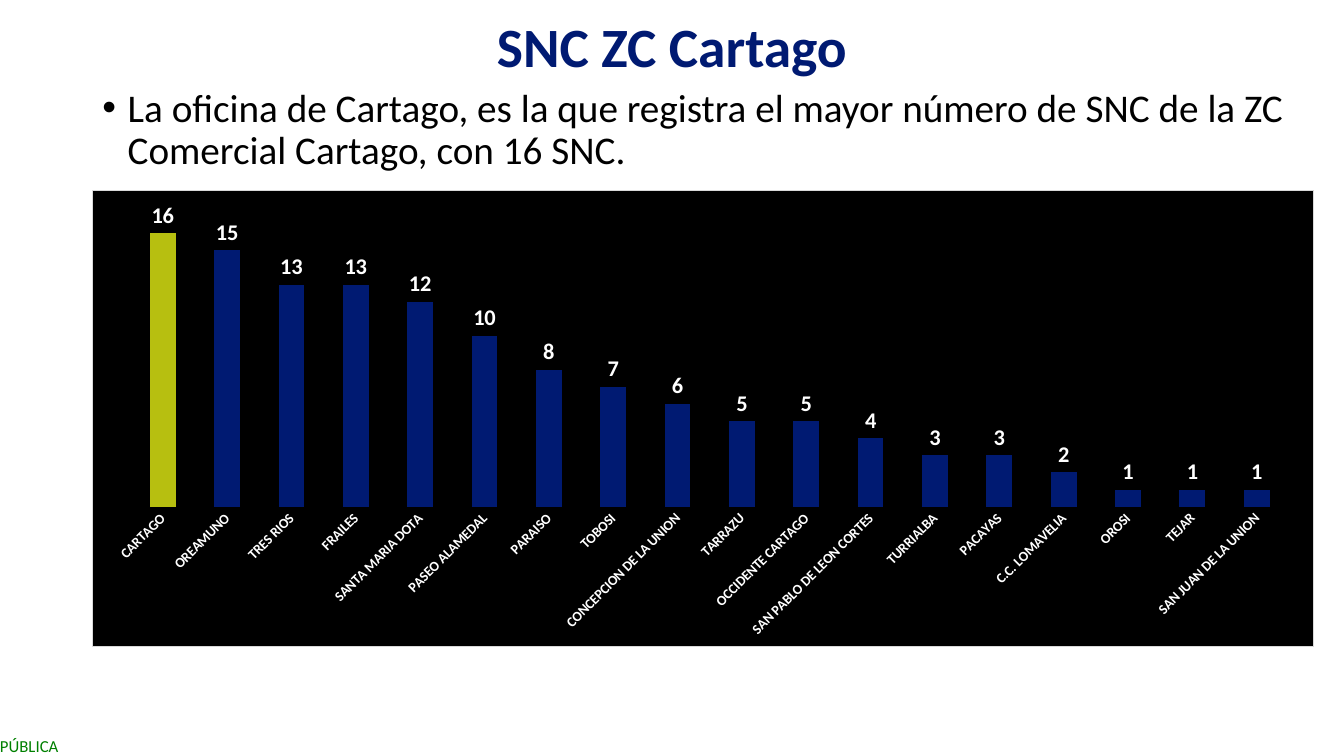
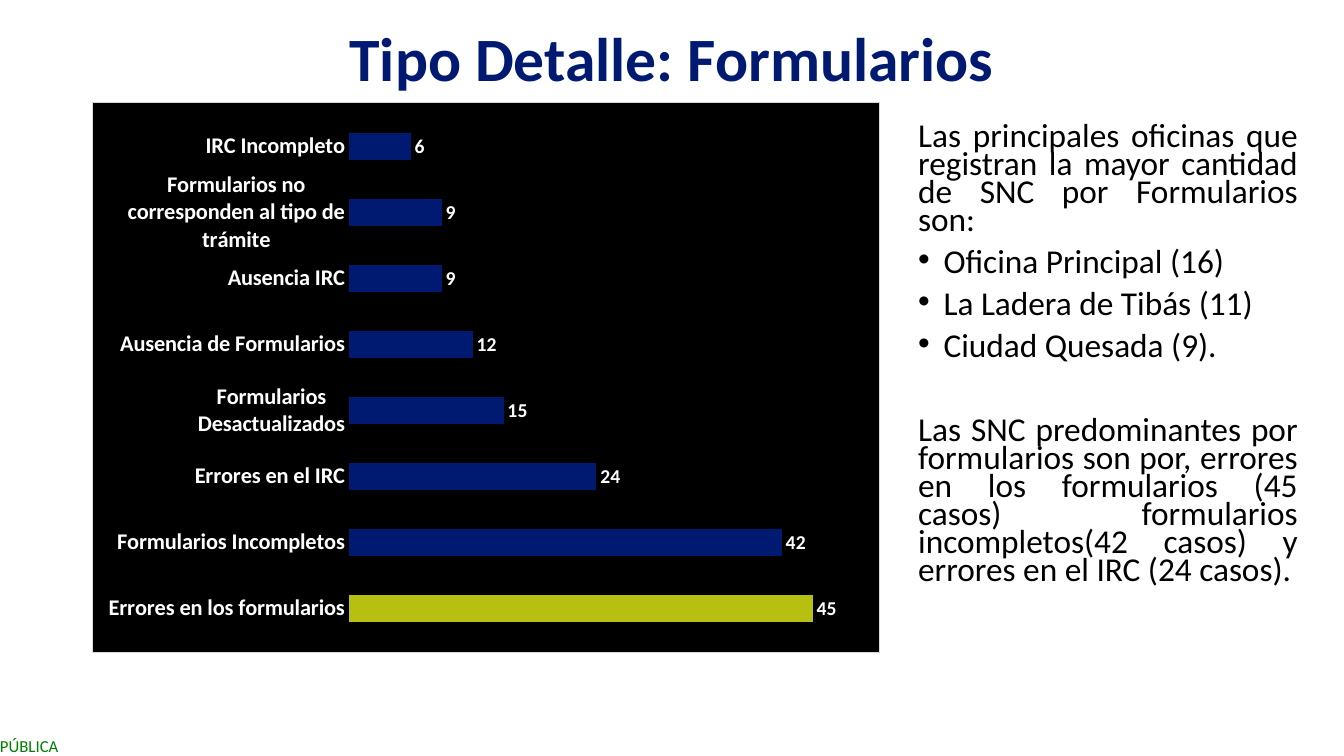
from dataclasses import dataclass

from lxml import etree
from pptx import Presentation
from pptx.chart.data import CategoryChartData
from pptx.dml.color import RGBColor
from pptx.enum.chart import XL_CHART_TYPE, XL_LABEL_POSITION, XL_TICK_MARK
from pptx.enum.text import MSO_ANCHOR, PP_ALIGN
from pptx.oxml import parse_xml
from pptx.oxml.ns import nsdecls, qn
from pptx.util import Cm, Pt

COLUMNS = XL_CHART_TYPE.COLUMN_CLUSTERED
BARS = XL_CHART_TYPE.BAR_CLUSTERED
OUTSIDE_END = XL_LABEL_POSITION.OUTSIDE_END
NO_TICK = XL_TICK_MARK.NONE
LEFT, CENTER, JUSTIFY = PP_ALIGN.LEFT, PP_ALIGN.CENTER, PP_ALIGN.JUSTIFY
MIDDLE, TOP = MSO_ANCHOR.MIDDLE, MSO_ANCHOR.TOP

FONT = "Calibri"
COLORS = {
    "navy": "001A72",
    "lime": "B7BF10",
    "green": "008000",
    "black": "000000",
    "white": "FFFFFF",
    "border": "D9D9D9",
}
MARGIN = 2.33
BULLET_INDENT = Cm(0.64)


@dataclass
class Box:
    """Position and size in centimetres."""
    left: float
    top: float
    width: float
    height: float

    def lengths(self):
        return Cm(self.left), Cm(self.top), Cm(self.width), Cm(self.height)


@dataclass
class TextStyle:
    size: float
    color: str = "black"
    bold: bool = False
    align: PP_ALIGN = LEFT
    line_spacing: float = 0.9
    space_before: float = 0


@dataclass
class Line:
    text: str
    bullet: bool = False
    extra_space: float = 0


@dataclass
class BarChart:
    kind: XL_CHART_TYPE
    box: Box
    values: dict[str, int]
    maximum: int
    category_size: float
    label_size: float
    category_rotation: int = 0


def rgb(name: str) -> RGBColor:
    return RGBColor.from_string(COLORS[name])


def style_font(font, size: float, color: str, bold: bool = False) -> None:
    font.name = FONT
    font.size = Pt(size)
    font.bold = bold
    font.color.rgb = rgb(color)


def add_bullet(paragraph) -> None:
    properties = paragraph._p.get_or_add_pPr()
    properties.set("marL", str(BULLET_INDENT))
    properties.set("indent", str(-BULLET_INDENT))
    etree.SubElement(properties, qn("a:buFont")).set("typeface", "Arial")
    etree.SubElement(properties, qn("a:buChar")).set("char", "•")


def add_text(slide, box: Box, lines: list[Line], style: TextStyle,
             anchor: MSO_ANCHOR = TOP):
    text_frame = slide.shapes.add_textbox(*box.lengths()).text_frame
    text_frame.word_wrap = True
    text_frame.vertical_anchor = anchor
    text_frame.text = "\n".join(line.text for line in lines)
    for paragraph, line in zip(text_frame.paragraphs, lines):
        paragraph.alignment = style.align
        paragraph.line_spacing = style.line_spacing
        paragraph.space_before = Pt(style.space_before + line.extra_space)
        if line.bullet:
            add_bullet(paragraph)
        for run in paragraph.runs:
            style_font(run.font, style.size, style.color, style.bold)
    return text_frame


def add_base_slide(presentation, title: str, title_box: Box, title_size: float):
    """Add a blank slide with the shared title style and classification mark."""
    slide = presentation.slides.add_slide(presentation.slide_layouts[6])
    footer = add_text(slide, Box(0, 18.54, 2.11, 0.51), [Line("PÚBLICA")],
                      TextStyle(12, "green", line_spacing=1.0))
    footer.margin_left = footer.margin_right = 0
    footer.margin_top = footer.margin_bottom = 0
    add_text(slide, title_box, [Line(title)],
             TextStyle(title_size, "navy", bold=True, align=CENTER), MIDDLE)
    return slide


def style_chart_area(chart) -> None:
    """Give the chart a black background and a thin grey border."""
    area = parse_xml(
        f'<c:spPr {nsdecls("c", "a")}>'
        f'<a:solidFill><a:srgbClr val="{COLORS["black"]}"/></a:solidFill>'
        f'<a:ln w="{Pt(0.75)}"><a:solidFill><a:srgbClr val="{COLORS["border"]}"/>'
        '</a:solidFill></a:ln></c:spPr>')
    chart.element.find(qn("c:chart")).addnext(area)


def add_bar_chart(slide, spec: BarChart) -> None:
    """Draw a one-series chart whose first bar is highlighted."""
    data = CategoryChartData()
    data.categories = list(spec.values)
    data.add_series("Series 1", list(spec.values.values()))
    chart = slide.shapes.add_chart(spec.kind, *spec.box.lengths(), data).chart
    chart.has_title = False
    chart.has_legend = False
    style_font(chart.font, 10, "black")
    style_chart_area(chart)

    category_axis = chart.category_axis
    category_axis.major_tick_mark = category_axis.minor_tick_mark = NO_TICK
    category_axis.format.line.fill.background()
    style_font(category_axis.tick_labels.font, spec.category_size, "white", True)
    if spec.category_rotation:
        body = chart.element.xpath(".//c:catAx/c:txPr/a:bodyPr")[0]
        body.set("rot", str(spec.category_rotation * 60000))
        body.set("vert", "horz")

    value_axis = chart.value_axis
    value_axis.has_major_gridlines = False
    value_axis.minimum_scale = 0
    value_axis.maximum_scale = spec.maximum
    value_axis.visible = False

    plot = chart.plots[0]
    plot.gap_width = 150
    plot.vary_by_categories = False
    plot.has_data_labels = True
    labels = plot.data_labels
    labels.show_value = True
    labels.position = OUTSIDE_END
    style_font(labels.font, spec.label_size, "white", True)

    series = plot.series[0]
    series.invert_if_negative = False
    for target, color in ((series, "navy"), (series.points[0], "lime")):
        target.format.fill.solid()
        target.format.fill.fore_color.rgb = rgb(color)


def build_cartago_slide(presentation) -> None:
    slide = add_base_slide(presentation, "SNC ZC Cartago",
                           Box(MARGIN, 0.38, 29.21, 1.73), 39.6)
    add_text(slide, Box(MARGIN, 2.11, 30.78, 2.67),
             [Line("La oficina de Cartago, es la que registra el mayor número de "
                   "SNC de la ZC Comercial Cartago, con 16 SNC.", bullet=True)],
             TextStyle(28, space_before=10))
    offices = {
        "CARTAGO": 16, "OREAMUNO": 15, "TRES RIOS": 13, "FRAILES": 13,
        "SANTA MARIA DOTA": 12, "PASEO ALAMEDAL": 10, "PARAISO": 8,
        "TOBOSI": 7, "CONCEPCION DE LA UNION": 6, "TARRAZU": 5,
        "OCCIDENTE CARTAGO": 5, "SAN PABLO DE LEON CORTES": 4,
        "TURRIALBA": 3, "PACAYAS": 3, "C.C. LOMAVELIA": 2, "OROSI": 1,
        "TEJAR": 1, "SAN JUAN DE LA UNION": 1,
    }
    add_bar_chart(slide, BarChart(COLUMNS, Box(MARGIN, 4.78, 30.78, 11.53),
                                  offices, 18, 10, 16, category_rotation=-45))


def build_forms_slide(presentation) -> None:
    slide = add_base_slide(presentation, "Tipo Detalle: Formularios",
                           Box(MARGIN, 0.51, 29.21, 2.06), 44)
    lines = [
        Line("Las principales oficinas que registran la mayor cantidad de SNC "
             "por Formularios son:"),
        Line("Oficina Principal (16)", bullet=True),
        Line("La Ladera de Tibás (11)", bullet=True),
        Line("Ciudad Quesada (9).", bullet=True),
        Line("Las SNC predominantes por formularios son por, errores en los "
             "formularios (45 casos) formularios incompletos(42 casos) y "
             "errores en el IRC (24 casos).", extra_space=30),
    ]
    add_text(slide, Box(22.89, 3.02, 10.06, 12.04), lines,
             TextStyle(23.8, align=JUSTIFY, line_spacing=0.7, space_before=10))
    details = {
        "Errores en los formularios": 45,
        "Formularios Incompletos": 42,
        "Errores en el IRC": 24,
        "Formularios Desactualizados": 15,
        "Ausencia de Formularios": 12,
        "Ausencia IRC": 9,
        "Formularios no corresponden al tipo de trámite": 9,
        "IRC Incompleto": 6,
    }
    add_bar_chart(slide, BarChart(BARS, Box(MARGIN, 2.57, 19.86, 13.89),
                                  details, 50, 16, 14))


def main() -> None:
    presentation = Presentation()
    presentation.slide_width = Cm(33.87)
    presentation.slide_height = Cm(19.05)
    build_cartago_slide(presentation)
    build_forms_slide(presentation)
    presentation.save("out.pptx")


if __name__ == "__main__":
    main()
